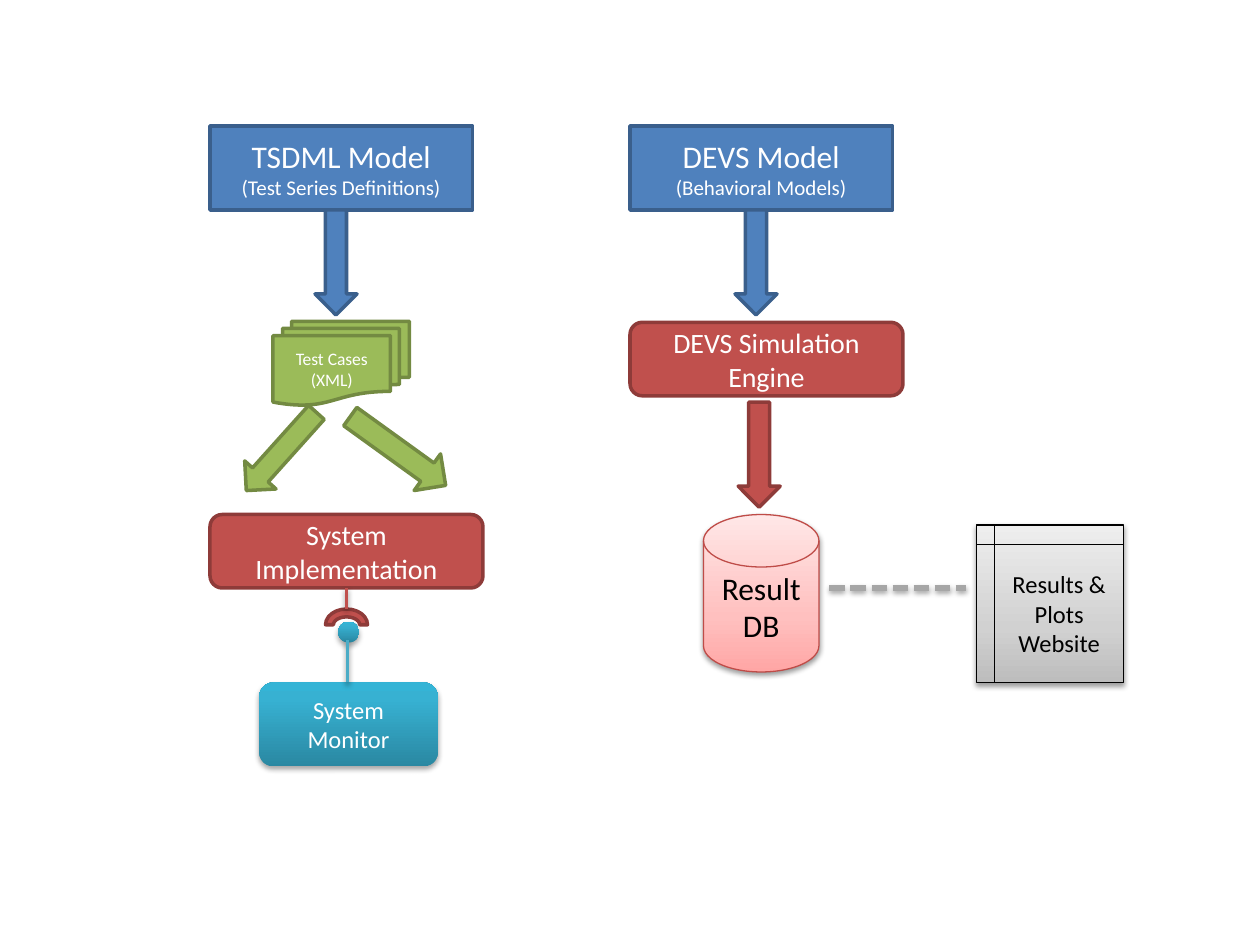
from lxml.etree import SubElement
from pptx import Presentation
from pptx.dml.color import RGBColor
from pptx.enum.dml import MSO_LINE
from pptx.enum.shapes import MSO_CONNECTOR, MSO_SHAPE as Shape
from pptx.enum.text import MSO_ANCHOR, PP_ALIGN
from pptx.oxml.ns import qn
from pptx.util import Inches, Pt

COLORS = {
    "blue": "4F81BD", "blue edge": "3A5F8C",
    "green": "9BBB59", "green edge": "738A42",
    "red": "C0504D", "red edge": "8E3B39",
    "rose edge": "BF4C48", "teal": "4BACC6", "gray": "A6A6A6",
    "black": "000000", "white": "FFFFFF",
}
# Gradient stops from bottom to top: position in percent, color
GRADIENTS = {
    "rose": [(0, "FFA6A5"), (35, "FFC0BF"), (100, "FFE7E7")],
    "silver": [(0, "BDBDBD"), (35, "D1D1D1"), (100, "EEEEEE")],
    "aqua": [(0, "2A88A2"), (80, "37B1D2"), (100, "34B4D6")],
}
# Opacity in percent, distance in points
SOFT_SHADOW, DEEP_SHADOW = (38, 1.6), (35, 1.8)


def rgb(name):
    return RGBColor.from_string(COLORS[name])


def add_color(parent, hex_color):
    return SubElement(parent, qn("a:srgbClr"), val=hex_color)


class Diagram:
    """Draws on a slide whose grid has 12 cells to the inch."""

    font = "Calibri"
    cells_per_inch = 12

    def __init__(self, deck):
        self.slide = deck.slides.add_slide(deck.slide_layouts[6])

    def cells(self, *counts):
        return [Inches(count / self.cells_per_inch) for count in counts]

    def shadow(self, effects, opacity, distance):
        outer = SubElement(effects, qn("a:outerShdw"), blurRad=str(Pt(3.1)),
                           dist=str(Pt(distance)), dir="5400000", rotWithShape="0")
        SubElement(add_color(outer, COLORS["black"]), qn("a:alpha"),
                   val=str(opacity * 1000))

    def gradient(self, shape, stops):
        shape.fill.gradient()
        shape.fill.gradient_angle = 90
        stop_list = shape._element.spPr.find(".//" + qn("a:gsLst"))
        stop_list.clear()
        for position, hex_color in stops:
            add_color(SubElement(stop_list, qn("a:gs"), pos=str(position * 1000)),
                      hex_color)

    def node(self, kind, box, fill, edge=None, width=2, rotation=0, shadow=None,
             label=(), color="white"):
        """Add a shape; label is a list of (text, size) paragraphs."""
        shape = self.slide.shapes.add_shape(kind, *self.cells(*box))
        shape.rotation = rotation
        shape.shadow.inherit = False
        if fill in GRADIENTS:
            self.gradient(shape, GRADIENTS[fill])
        else:
            shape.fill.solid()
            shape.fill.fore_color.rgb = rgb(fill)
        if edge:
            shape.line.color.rgb = rgb(edge)
            shape.line.width = Pt(width)
        else:
            shape.line.fill.background()
        if shadow:
            self.shadow(shape._element.spPr.find(qn("a:effectLst")), *shadow)
        if label:
            self.add_label(shape.text_frame, label, color)

    def add_label(self, frame, label, color):
        frame.word_wrap = True
        frame.vertical_anchor = MSO_ANCHOR.MIDDLE
        for index, (text, size) in enumerate(label):
            paragraph = frame.add_paragraph() if index else frame.paragraphs[0]
            paragraph.alignment = PP_ALIGN.CENTER
            run = paragraph.add_run()
            run.text = text
            for name, value in {"name": self.font, "size": Pt(size)}.items():
                setattr(run.font, name, value)
            run.font.color.rgb = rgb(color)

    def link(self, start, end, color, width=2, dash=None):
        connector = self.slide.shapes.add_connector(
            MSO_CONNECTOR.STRAIGHT, *self.cells(*start, *end))
        connector.line.color.rgb = rgb(color)
        for name, value in {"width": Pt(width), "dash_style": dash}.items():
            setattr(connector.line, name, value)
        effects = SubElement(connector._element.spPr, qn("a:effectLst"))
        self.shadow(effects, *SOFT_SHADOW)

    def solid(self, kind, box, hue, **options):
        """Add a shape in one hue with its darker edge."""
        self.node(kind, box, hue, f"{hue} edge", **options)


def main():
    deck = Presentation()
    deck.slide_width, deck.slide_height = Inches(10), Inches(7.5)
    diagram = Diagram(deck)

    models = [(20, "TSDML Model", "(Test Series Definitions)"),
              (60, "DEVS Model", "(Behavioral Models)")]
    for left, model, detail in models:
        diagram.solid(Shape.FLOWCHART_PROCESS, (left, 12, 25, 8), "blue",
                      label=[(model, 18), (detail, 12)])
        diagram.solid(Shape.DOWN_ARROW, (left + 10, 20, 4, 10), "blue")

    diagram.solid(Shape.FLOWCHART_MULTIDOCUMENT, (26, 30.6, 13, 8), "green",
                  label=[("Test Cases (XML)", 10)])
    diagram.solid(Shape.RIGHT_ARROW, (32.3, 40.8, 11.2, 4.3), "green", rotation=35.8)
    diagram.solid(Shape.DOWN_ARROW, (24.8, 38, 4, 10), "green", rotation=41.9)

    engines = [(60, 30.7, "DEVS Simulation Engine"),
               (20, 49, "System Implementation")]
    for left, top, engine in engines:
        diagram.solid(Shape.FLOWCHART_ALTERNATE_PROCESS, (left, top, 26, 7), "red",
                      label=[(engine, 16)])
    diagram.solid(Shape.DOWN_ARROW, (70.3, 38.3, 4, 10), "red")

    diagram.node(Shape.FLOWCHART_MAGNETIC_DISK, (67, 49, 11, 15), "rose", "rose edge",
                 width=0.75, shadow=SOFT_SHADOW, label=[("Result DB", 18)],
                 color="black")
    diagram.node(Shape.FLOWCHART_INTERNAL_STORAGE, (93, 50, 14, 15), "silver", "black",
                 width=0.75, shadow=SOFT_SHADOW,
                 label=[("Results & Plots Website", 14)], color="black")
    diagram.link((79, 56), (92, 56), "gray", width=3, dash=MSO_LINE.SQUARE_DOT)

    # Socket and plug between the system and its monitor
    diagram.node(Shape.OVAL, (32.2, 59.2, 2, 2), "aqua", shadow=DEEP_SHADOW)
    diagram.solid(Shape.BLOCK_ARC, (31, 58, 4, 3), "red")
    diagram.link((33, 56), (33, 58), "red")
    diagram.node(Shape.FLOWCHART_ALTERNATE_PROCESS, (24.7, 65, 17, 8), "aqua",
                 shadow=DEEP_SHADOW, label=[("System Monitor", 14)])
    diagram.link((33.1, 61), (33.1, 65), "teal")

    deck.save("out.pptx")


if __name__ == "__main__":
    main()
